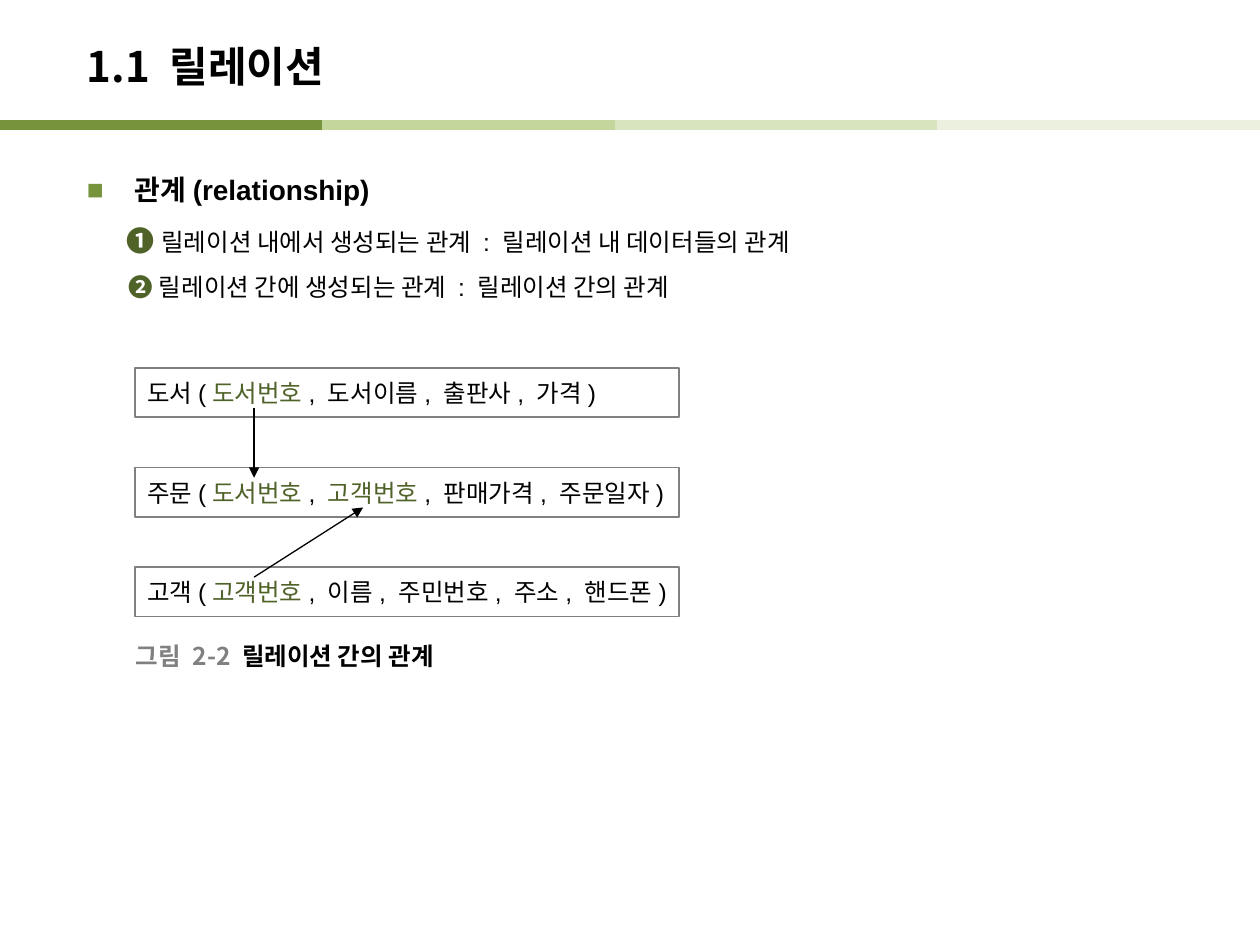
from dataclasses import dataclass

import pptx
import pptx.dml.color
import pptx.enum.shapes
import pptx.enum.text
import pptx.oxml
import pptx.oxml.ns
import pptx.util

Pt = pptx.util.Pt
ANCHOR = pptx.enum.text.MSO_ANCHOR
NOTO, ARIAL = "Noto Sans CJK KR", "Arial"
COLORS = {
    "black": "000000", "gray": "808080", "key": "4F6228", "bullet": "77933C",
    "band1": "77933C", "band2": "C3D69B", "band3": "D7E4BD", "band4": "EBF1DE",
}


@dataclass
class Run:
    text: str
    color: str = "black"
    size: float = 14
    bold: bool = False
    font: str = ARIAL


@dataclass
class Relation:
    top: float
    runs: list[Run]


@dataclass
class Line:
    start: tuple[float, float]
    end: tuple[float, float]
    color: str = "black"
    width: float = 0.75
    arrow: bool = True


def rgb(name: str) -> pptx.dml.color.RGBColor:
    return pptx.dml.color.RGBColor.from_string(COLORS[name])


def add_xml(parent, xml: str) -> None:
    ns = pptx.oxml.ns.nsdecls("a")
    parent.append(pptx.oxml.parse_xml(xml.replace("/>", f" {ns}/>", 1)))


def write(p, runs: list[Run]) -> None:
    for item in runs:
        r = p.add_run()
        r.text = item.text
        formats = {"name": item.font, "size": Pt(item.size), "bold": item.bold}
        for key, value in formats.items():
            setattr(r.font, key, value)
        r.font.color.rgb = rgb(item.color)
        add_xml(r.font._element, f'<a:ea typeface="{NOTO}"/>')


def add_text(s, box: tuple, anchor=ANCHOR.MIDDLE):
    tf = s.shapes.add_textbox(*map(Pt, box)).text_frame
    tf.word_wrap, tf.vertical_anchor = True, anchor
    return tf


def add_relation(s, rel: Relation) -> None:
    sp = s.shapes.add_shape(pptx.enum.shapes.MSO_SHAPE.RECTANGLE,
                            Pt(77), Pt(rel.top), Pt(311), Pt(28.2))
    sp.shadow.inherit = False
    sp.fill.background()
    sp.line.color.rgb, sp.line.width = rgb("gray"), Pt(1)
    tf = sp.text_frame
    tf.word_wrap, tf.vertical_anchor = True, ANCHOR.MIDDLE
    tf.margin_right = Pt(0)  # room for the longest relation on one line
    p = tf.paragraphs[0]
    p.alignment = pptx.enum.text.PP_ALIGN.LEFT
    write(p, rel.runs)


def add_line(s, line: Line) -> None:
    sp = s.shapes.add_connector(pptx.enum.shapes.MSO_CONNECTOR.STRAIGHT,
                                *map(Pt, line.start + line.end))
    sp.line.color.rgb, sp.line.width = rgb(line.color), Pt(line.width)
    if line.arrow:
        add_xml(sp.line._get_or_add_ln(), '<a:tailEnd type="triangle"/>')
    add_xml(sp._element.spPr, "<a:effectLst/>")


def main() -> None:
    prs = pptx.Presentation()
    prs.slide_width, prs.slide_height = Pt(720), Pt(540)
    s = prs.slides.add_slide(prs.slide_layouts[6])

    # Colour band under the title; the first part lies on top
    for name, left in (("band2", 167), ("band3", 351.5), ("band4", 535.7), ("band1", 0)):
        add_line(s, Line((left, 71.3), (left + 184.3, 71.3), name, 6, False))

    # Title
    tf = add_text(s, (42.5, 16, 595.5, 43))
    write(tf.paragraphs[0], [Run("1.1 릴레이션", size=24, bold=True, font=NOTO)])

    # Heading and numbered points: left margin, first-line indent, runs
    points = [
        (27.4, -27.4, [Run("관계(relationship)", size=16, bold=True)]),
        (23, 0, [Run("❶ ", "key", 16, True),
                 Run("릴레이션 내에서 생성되는 관계 : 릴레이션 내 데이터들의 관계")]),
        (24, 0, [Run("❷ ", "key", 14, True),
                 Run("릴레이션 간에 생성되는 관계 : 릴레이션 간의 관계")]),
    ]
    tf = add_text(s, (42.5, 85.7, 635, 430.5), ANCHOR.TOP)
    for i, (margin, indent, runs) in enumerate(points):
        p = tf.add_paragraph() if i else tf.paragraphs[0]
        p.line_spacing = 1.5
        pPr = p._p.get_or_add_pPr()
        pPr.set("marL", str(Pt(margin)))
        pPr.set("indent", str(Pt(indent)))
        if indent:
            add_xml(pPr, '<a:buClr/>')
            add_xml(pPr[-1], f'<a:srgbClr val="{COLORS["bullet"]}"/>')
            add_xml(pPr, f'<a:buFont typeface="{ARIAL}"/>')
            add_xml(pPr, '<a:buChar char="■"/>')
        write(p, runs)

    # Figure caption
    tf = add_text(s, (70.6, 363.6, 220, 22.3))
    write(tf.paragraphs[0], [Run("그림 2-2 ", "gray", bold=True, font=NOTO),
                             Run("릴레이션 간의 관계", bold=True, font=NOTO)])

    # Relations, evenly spaced
    book, customer = Run("도서번호", "key"), Run("고객번호", "key")
    schemas = [
        [Run("도서("), book, Run(", 도서이름, 출판사, 가격)")],
        [Run("주문("), book, Run(", "), customer, Run(", 판매가격, 주문일자)")],
        [Run("고객("), customer, Run(", 이름, 주민번호, 주소, 핸드폰)")],
    ]
    for i, runs in enumerate(schemas):
        add_relation(s, Relation(210.3 + 56.9 * i, runs))

    # Arrows between matching keys
    for line in (Line((145.2, 233.2), (145.2, 273)), Line((145.2, 329.8), (207.5, 290))):
        add_line(s, line)

    prs.save("out.pptx")


if __name__ == "__main__":
    main()
